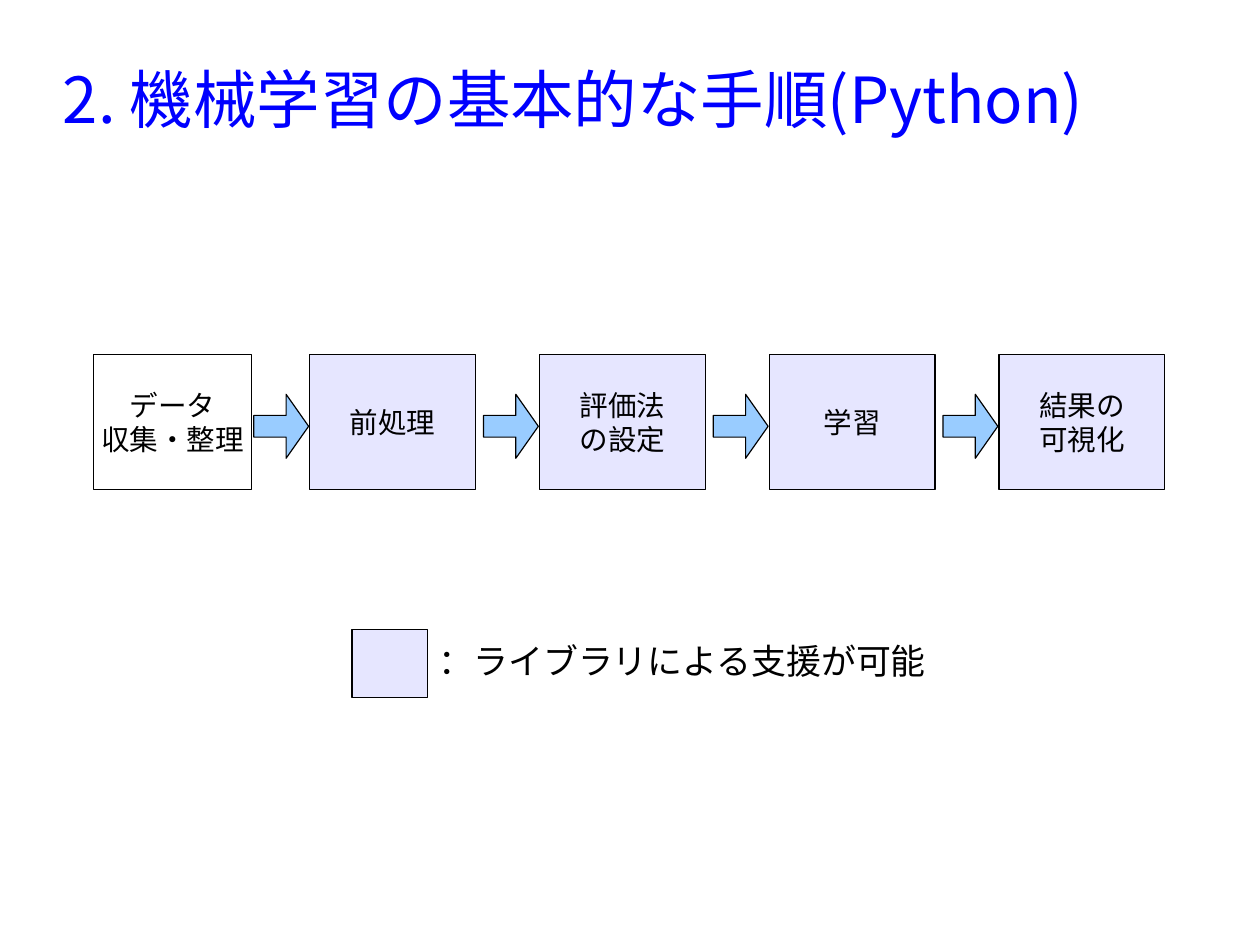
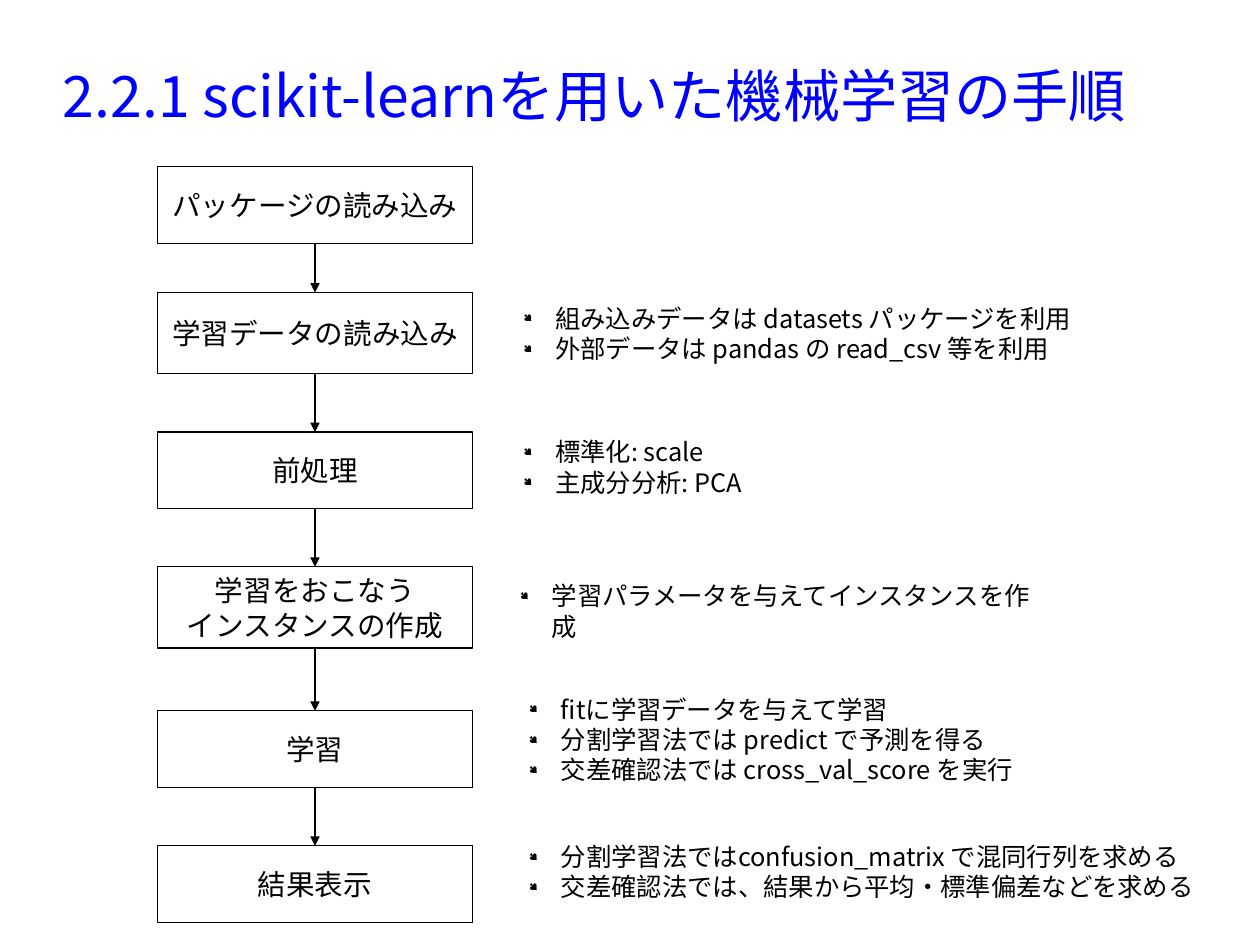
import pptx
import pptx.util
import pptx.dml.color
import pptx.enum.shapes
import pptx.enum.text
import pptx.oxml.ns
import lxml.etree

# Content
OVERVIEW_TITLE = "2. 機械学習の基本的な手順(Python)"
STAGES = ["データ\n収集・整理", "前処理", "評価法\nの設定", "学習", "結果の\n可視化"]
LEGEND = "：ライブラリによる支援が可能"

PROCEDURE_TITLE = "2.2.1 scikit-learnを用いた機械学習の手順"
# step, top, height, notes, (notes left, top, width, height)
STEPS = [
    ("パッケージの読み込み", 1.46, 0.67, "", None),
    ("学習データの読み込み", 2.56, 0.71,
     "組み込みデータは datasets パッケージを利用\n"
     "外部データは pandas の read_csv 等を利用", (4.48, 2.6, 5.17, 0.77)),
    ("前処理", 3.78, 0.67,
     "標準化: scale\n主成分分析: PCA", (4.48, 3.77, 2.19, 0.77)),
    ("学習をおこなう\nインスタンスの作成", 4.96, 0.71,
     "学習パラメータを与えてインスタンスを作成", (4.45, 5.03, 4.85, 0.43)),
    ("学習", 6.22, 0.67,
     "fitに学習データを与えて学習\n"
     "分割学習法では predict で予測を得る\n"
     "交差確認法では cross_val_score を実行", (4.53, 6.02, 4.63, 1.1)),
    ("結果表示", 7.4, 0.67,
     "分割学習法ではconfusion_matrix で混同行列を求める\n"
     "交差確認法では、結果から平均・標準偏差などを求める", (4.53, 7.31, 6.04, 0.77)),
]

# Shared style
COLORS = {"title": "0000FF", "ink": "000000", "plain": "FFFFFF",
          "supported": "E6E6FF", "arrow": "99CCFF"}
FONT = "Noto Sans CJK JP"
SLIDE_W, SLIDE_H = pptx.util.Cm(28), pptx.util.Cm(21)
TITLE_LEFT, TITLE_TOP, TITLE_W = 0.55, 0.33, 9.92
NOTE_INDENT = 0.28

SHAPES = pptx.enum.shapes.MSO_SHAPE
ALIGN = pptx.enum.text.PP_ALIGN
ANCHOR = pptx.enum.text.MSO_ANCHOR
inches = pptx.util.Inches


def rgb(name):
    return pptx.dml.color.RGBColor.from_string(COLORS[name])


def add_bullet(paragraph):
    properties = paragraph._p.get_or_add_pPr()
    properties.set("marL", str(inches(NOTE_INDENT)))
    properties.set("indent", str(-inches(NOTE_INDENT)))
    qn = pptx.oxml.ns.qn
    tint = lxml.etree.SubElement(properties, qn("a:buClr"))
    lxml.etree.SubElement(tint, qn("a:srgbClr"), val=COLORS["ink"])
    lxml.etree.SubElement(properties, qn("a:buSzPct"), val="45000")
    lxml.etree.SubElement(properties, qn("a:buFont"), typeface="Wingdings", charset="2")
    lxml.etree.SubElement(properties, qn("a:buChar"), char="●")


def write(owner, text, size=18, color="ink", font=FONT, align=ALIGN.LEFT,
          anchor=ANCHOR.TOP, wrap=True, inset=(0.1, 0.05), bullet=False):
    frame = owner.text_frame
    frame.auto_size = pptx.enum.text.MSO_AUTO_SIZE.NONE
    frame.word_wrap = wrap
    frame.vertical_anchor = anchor
    frame.margin_left = frame.margin_right = inches(inset[0])
    frame.margin_top = frame.margin_bottom = inches(inset[1])
    for index, line in enumerate(text.split("\n")):
        paragraph = frame.add_paragraph() if index else frame.paragraphs[0]
        paragraph.alignment = align
        if bullet:
            add_bullet(paragraph)
        run = paragraph.add_run()
        run.text = line
        run.font.size = pptx.util.Pt(size)
        run.font.color.rgb = rgb(color)
        run.font.name = font
        lxml.etree.SubElement(run._r.get_or_add_rPr(),
                              pptx.oxml.ns.qn("a:ea"), typeface=FONT)


def add_titled_slide(deck, text, size, height):
    slide = deck.slides.add_slide(deck.slide_layouts[5])
    title = slide.shapes.title
    title.left, title.top = inches(TITLE_LEFT), inches(TITLE_TOP)
    title.width, title.height = inches(TITLE_W), inches(height)
    write(title, text, size=size, color="title", anchor=ANCHOR.MIDDLE, inset=(0, 0))
    return slide


def add_block(slide, place, fill=None, text="", kind=SHAPES.RECTANGLE):
    block = slide.shapes.add_shape(kind, *map(inches, place))
    block.shadow.inherit = False
    if fill:
        block.fill.solid()
        block.fill.fore_color.rgb = rgb(fill)
    else:
        block.fill.background()
    block.line.color.rgb = rgb("ink")
    block.line.width = 0
    if text:
        write(block, text, align=ALIGN.CENTER, anchor=ANCHOR.MIDDLE, wrap=False)
    return block


def add_text(slide, place, text, **style):
    write(slide.shapes.add_textbox(*map(inches, place)), text, **style)


def add_flow_line(slide, upper, lower):
    flow = slide.shapes.add_connector(
        pptx.enum.shapes.MSO_CONNECTOR.STRAIGHT, 0, 0, 0, 0)
    flow.begin_connect(upper, 2)
    flow.end_connect(lower, 0)
    flow.line.color.rgb = rgb("ink")
    flow.line.width = pptx.util.Pt(1)
    qn = pptx.oxml.ns.qn
    lxml.etree.SubElement(flow.line._get_or_add_ln(), qn("a:tailEnd"), type="triangle")
    lxml.etree.SubElement(flow._element.spPr, qn("a:effectLst"))


def build_overview(deck):
    slide = add_titled_slide(deck, OVERVIEW_TITLE, 40, 1.05)
    # Stages: one column each, the first one a little narrower
    first_left, column_left, pitch = 0.82, 2.71, 2.01
    top, width, height = 3.1, 1.45, 1.18
    arrow_w, arrow_h = 0.48, 0.56
    for index, stage in enumerate(STAGES):
        if index == 0:
            add_block(slide, (first_left, top, 1.38, height), "plain", stage,
                      SHAPES.FLOWCHART_PROCESS)
            continue
        left = column_left + (index - 1) * pitch
        add_block(slide, (left, top, width, height), "supported", stage)
        arrow = add_block(slide, (left - arrow_w - 0.01, 3.45, arrow_w, arrow_h),
                          "arrow", kind=SHAPES.RIGHT_ARROW)
        arrow.adjustments[0] = 0.34
        arrow.adjustments[1] = 0.41
    # Legend
    add_block(slide, (3.08, 5.51, 0.66, 0.59), "supported")
    add_text(slide, (3.74, 5.55, 4.47, 0.56), LEGEND, size=22, font="Arial", wrap=False)


def build_procedure(deck):
    slide = add_titled_slide(deck, PROCEDURE_TITLE, 36, 0.99)
    # Steps: a quarter of the slide wide, an eighth in from the left
    step_left, step_w = SLIDE_W.inches / 8, SLIDE_W.inches / 4
    previous = None
    for step, top, height, notes, notes_place in STEPS:
        block = add_block(slide, (step_left, top, step_w, height), text=step)
        if previous is not None:
            add_flow_line(slide, previous, block)
        previous = block
        if notes:
            add_text(slide, notes_place, notes, size=16, bullet=True)


def main():
    deck = pptx.Presentation()
    deck.slide_width, deck.slide_height = SLIDE_W, SLIDE_H
    build_overview(deck)
    build_procedure(deck)
    deck.save("out.pptx")


if __name__ == "__main__":
    main()
